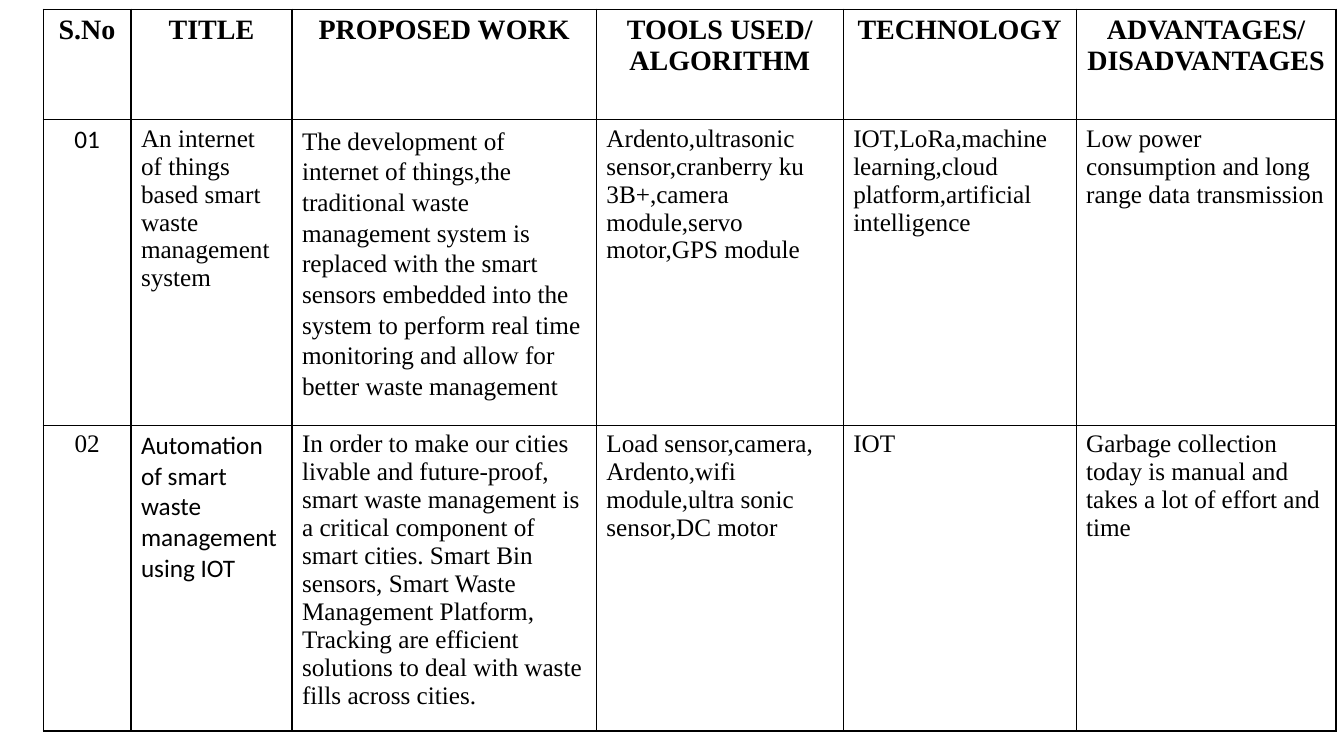
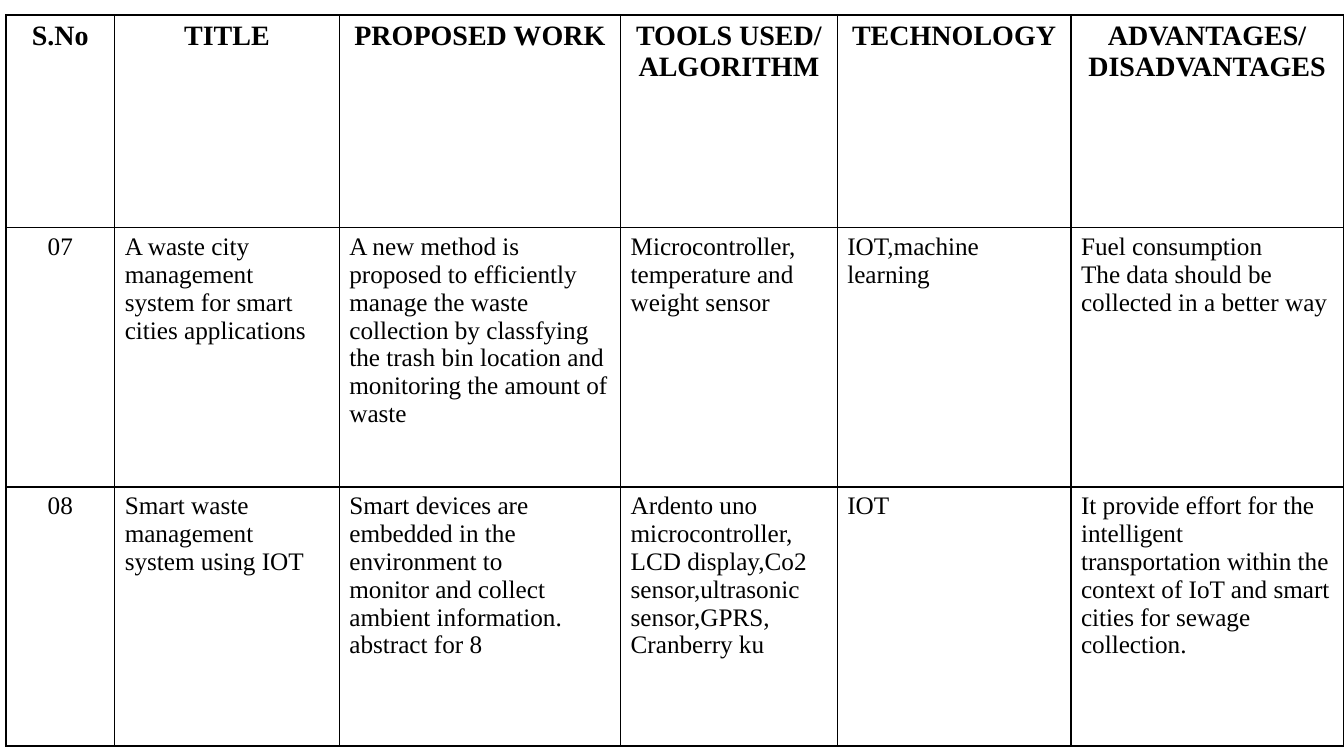
from dataclasses import dataclass

from lxml import etree
from pptx import Presentation
from pptx.dml.color import RGBColor
from pptx.enum.text import PP_ALIGN
from pptx.oxml.ns import qn
from pptx.presentation import Presentation as Deck
from pptx.table import _Cell as TableCell
from pptx.util import Cm, Pt

CENTER, LEFT = PP_ALIGN.CENTER, PP_ALIGN.LEFT


# Shared look
@dataclass(frozen=True)
class Theme:
    ink: str = "000000"
    paper: str = "FFFFFF"
    serif: str = "Times New Roman"
    sans: str = "Calibri"
    heading_size: int = 20
    body_size: int = 18
    border_width: int = 1


THEME = Theme()


@dataclass(frozen=True)
class Entry:
    """Content of one cell; each line of text is a paragraph."""
    text: str
    font: str = THEME.serif
    line_spacing: float | None = None


@dataclass(frozen=True)
class Survey:
    """One literature table; lengths are in centimetres."""
    left: float
    top: float
    column_widths: tuple[float, ...]
    heading_height: float
    study_height: float
    studies: tuple[tuple[Entry, ...], ...]


HEADINGS = tuple(Entry(text) for text in (
    "S.No",
    "TITLE",
    "PROPOSED WORK",
    "TOOLS USED/\nALGORITHM",
    "TECHNOLOGY",
    "ADVANTAGES/ DISADVANTAGES",
))

# Slide content
SURVEYS = (
    Survey(
        left=1.09, top=0.23,
        column_widths=(2.21, 4.06, 7.67, 6.22, 5.87, 6.55),
        heading_height=2.79, study_height=7.7,
        studies=(
            (
                Entry("01", font=THEME.sans),
                Entry("An internet of things based smart waste management system"),
                Entry("The development of internet of things,the traditional waste "
                      "management system is replaced with the smart sensors embedded "
                      "into the system to perform real time monitoring and allow for "
                      "better waste management", line_spacing=1.1),
                Entry("Ardento,ultrasonic sensor,cranberry ku 3B+,camera module,"
                      "servo motor,GPS module"),
                Entry("IOT,LoRa,machine learning,cloud platform,artificial intelligence"),
                Entry("Low power consumption and long range data transmission"),
            ),
            (
                Entry("02"),
                Entry("Automation of smart waste management using IOT", font=THEME.sans),
                Entry("In order to make our cities livable and future-proof, smart waste "
                      "management is a critical component of smart cities. Smart Bin "
                      "sensors, Smart Waste Management Platform, Tracking are efficient "
                      "solutions to deal with waste fills across cities."),
                Entry("Load sensor,camera,\n"
                      "Ardento,wifi module,ultra sonic sensor,DC motor"),
                Entry("IOT"),
                Entry("Garbage collection today is manual and takes a lot of effort "
                      "and time"),
            ),
        ),
    ),
    Survey(
        left=0.15, top=0.38,
        column_widths=(2.74, 5.66, 7.09, 5.46, 5.89, 6.86),
        heading_height=5.36, study_height=6.53,
        studies=(
            (
                Entry("07"),
                Entry("A waste city management system for smart cities applications"),
                Entry("A new method is proposed to efficiently manage the waste "
                      "collection by classfying the trash bin location and monitoring "
                      "the amount of waste"),
                Entry("Microcontroller,\ntemperature and weight sensor"),
                Entry("IOT,machine learning"),
                Entry("Fuel consumption\nThe data should be collected in a better way"),
            ),
            (
                Entry("08"),
                Entry("Smart waste management system using IOT"),
                Entry("Smart devices are embedded in the environment to\n"
                      "monitor and collect ambient information. abstract for 8"),
                Entry("Ardento uno microcontroller,\n"
                      "LCD display,Co2 sensor,ultrasonic sensor,GPRS,\n"
                      "Cranberry ku"),
                Entry("IOT"),
                Entry("It provide effort for the intelligent\n"
                      "transportation within the context of IoT and smart cities for "
                      "sewage collection."),
            ),
        ),
    ),
)


# Cell drawing
def draw_borders(cell: TableCell) -> None:
    properties = cell._tc.get_or_add_tcPr()
    for side in ("a:lnL", "a:lnR", "a:lnT", "a:lnB"):
        line = etree.SubElement(properties, qn(side), w=str(Pt(THEME.border_width)))
        fill = etree.SubElement(line, qn("a:solidFill"))
        etree.SubElement(fill, qn("a:srgbClr"), val=THEME.ink)


def fill_cell(cell: TableCell, entry: Entry, is_heading: bool, centered: bool) -> None:
    draw_borders(cell)
    cell.fill.solid()
    cell.fill.fore_color.rgb = RGBColor.from_string(THEME.paper)
    cell.text_frame.text = entry.text
    for para in cell.text_frame.paragraphs:
        para.alignment = CENTER if centered else LEFT
        para.line_spacing = entry.line_spacing
        for span in para.runs:
            span.font.name = entry.font
            span.font.size = Pt(THEME.heading_size if is_heading else THEME.body_size)
            span.font.bold = is_heading
            span.font.color.rgb = RGBColor.from_string(THEME.ink)


# Slide drawing
def add_survey_page(deck: Deck, survey: Survey) -> None:
    page = deck.slides.add_slide(deck.slide_layouts.get_by_name("Blank"))
    rows = (HEADINGS, *survey.studies)
    heights = (survey.heading_height, *[survey.study_height] * len(survey.studies))
    table = page.shapes.add_table(
        len(rows), len(HEADINGS), Cm(survey.left), Cm(survey.top),
        Cm(sum(survey.column_widths)), Cm(sum(heights)),
    ).table
    table.first_row = table.horz_banding = False
    for column, width in zip(table.columns, survey.column_widths):
        column.width = Cm(width)
    for row_index, (entries, height) in enumerate(zip(rows, heights)):
        table.rows[row_index].height = Cm(height)
        is_heading = row_index == 0
        for column_index, entry in enumerate(entries):
            fill_cell(table.cell(row_index, column_index), entry,
                      is_heading, centered=is_heading or column_index == 0)


def main() -> None:
    deck = Presentation()
    deck.slide_width, deck.slide_height = Cm(33.87), Cm(19.05)
    for survey in SURVEYS:
        add_survey_page(deck, survey)
    deck.save("out.pptx")


main()
